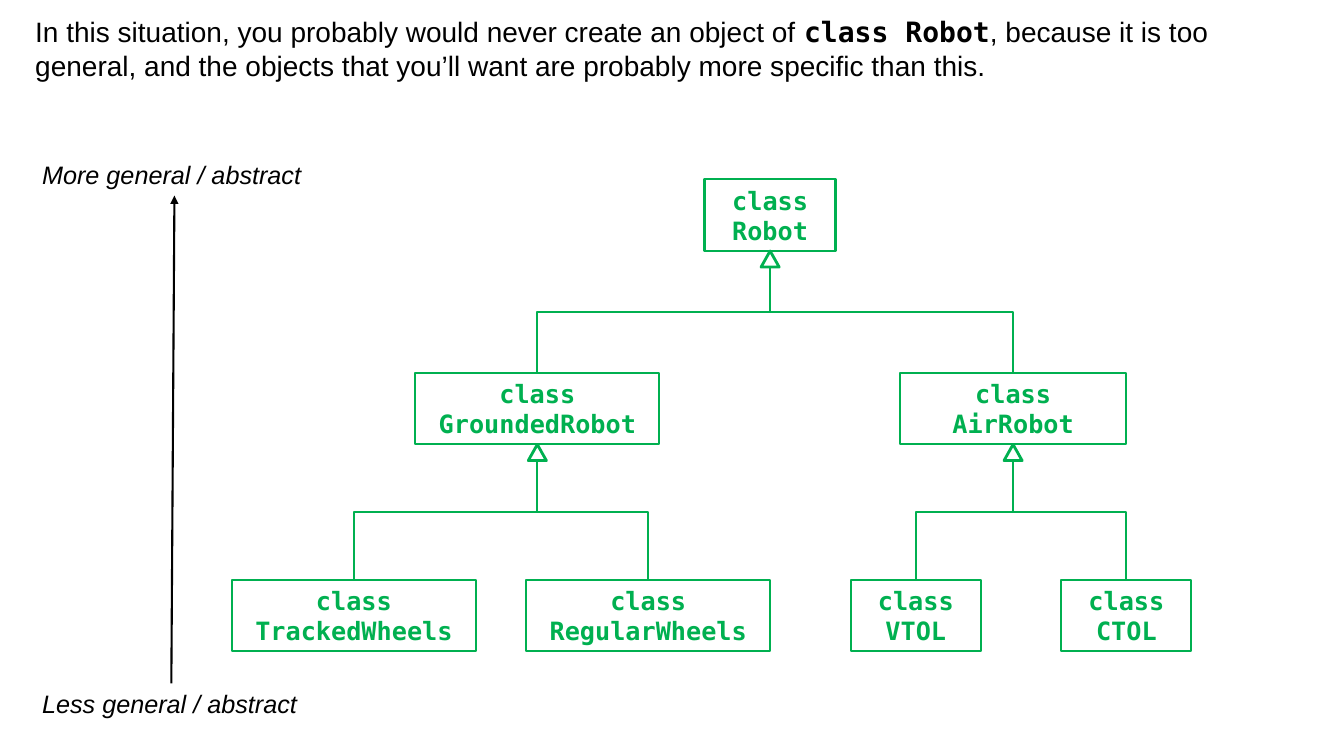
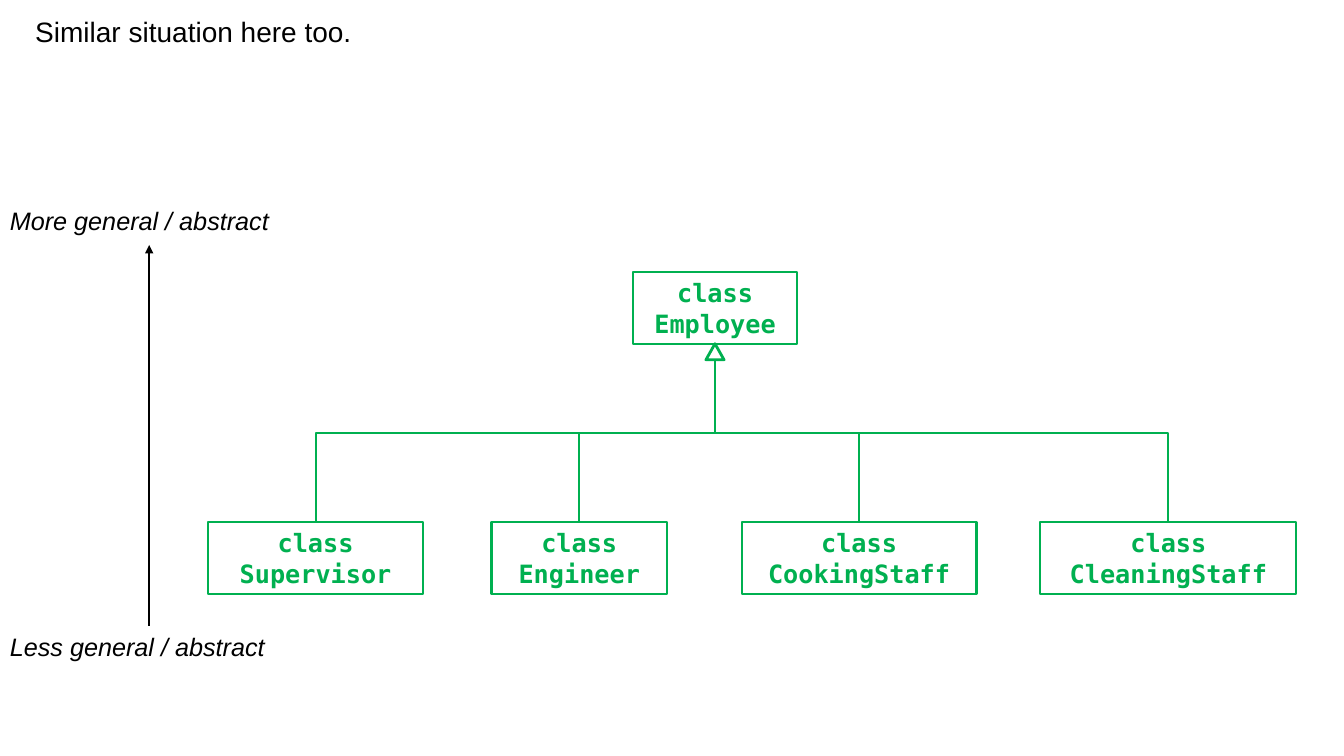
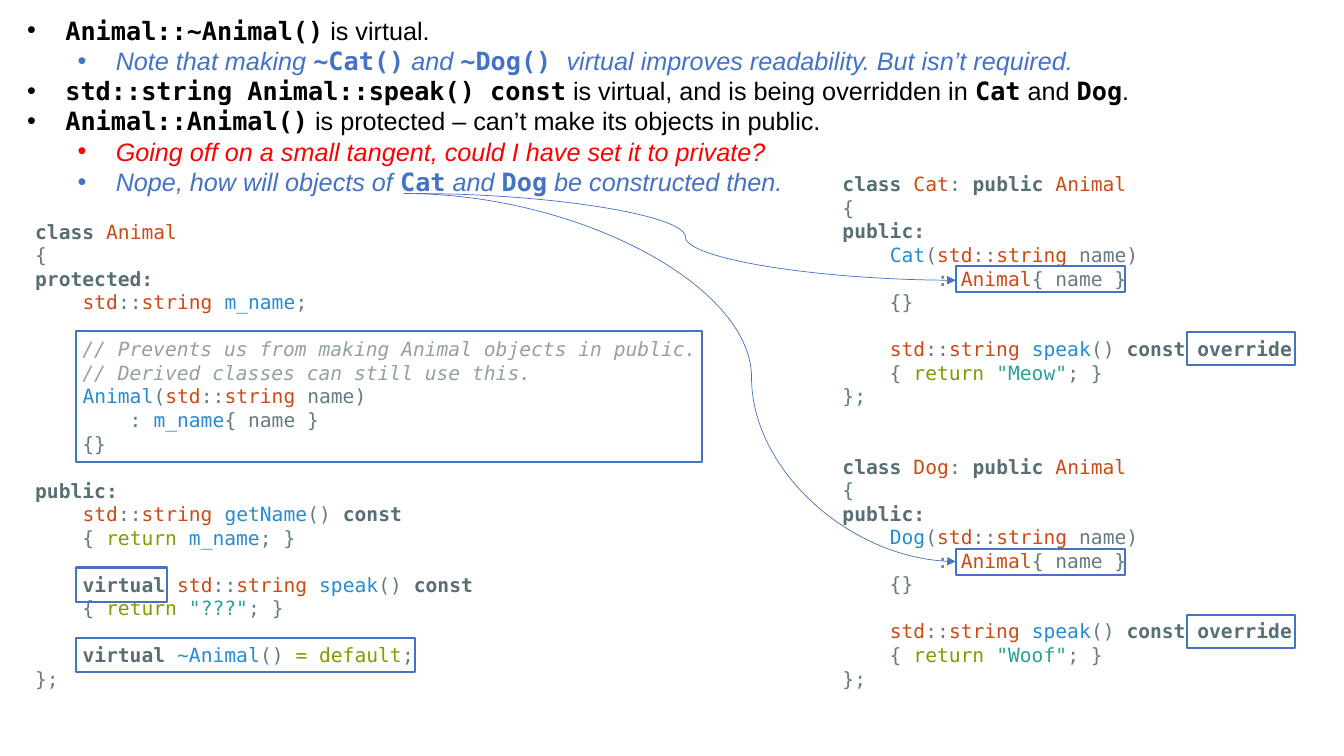
from lxml.etree import SubElement
from pptx import Presentation
from pptx.dml.color import RGBColor
from pptx.enum.shapes import MSO_CONNECTOR as Link, MSO_SHAPE as Preset
from pptx.enum.text import PP_ALIGN as Align
from pptx.oxml.ns import qn
from pptx.util import Inches, Pt

WIDTH, HEIGHT = Inches(13.333), Inches(7.5)
BLACK = RGBColor(0x00, 0x00, 0x00)
WHITE = RGBColor(0xFF, 0xFF, 0xFF)
RED = RGBColor(0xFF, 0x00, 0x00)
BLUE = RGBColor(0x44, 0x72, 0xC4)
GREEN = RGBColor(0x00, 0xB0, 0x50)
KEYWORD = RGBColor(0x58, 0x6E, 0x75)
PLAIN = RGBColor(0x65, 0x7B, 0x83)
TYPE = RGBColor(0xCB, 0x4B, 0x16)
NAME = RGBColor(0x26, 0x8B, 0xD2)
FLOW = RGBColor(0x85, 0x99, 0x00)
STRING = RGBColor(0x2A, 0xA1, 0x98)
REMARK = RGBColor(0x93, 0xA1, 0xA1)

SANS, MONO = "Arial", "DejaVu Sans Mono"
STYLES = {
    "a": (BLACK, {"name": SANS}),
    "i": (BLACK, {"name": SANS, "italic": True}),
    "m": (BLACK, {"name": MONO, "bold": True}),
    "b": (BLUE, {"name": SANS, "italic": True}),
    "B": (BLUE, {"name": MONO, "bold": True}),
    "r": (RED, {"name": SANS, "italic": True}),
    "g": (GREEN, {"name": MONO, "bold": True}),
    "k": (KEYWORD, {"name": MONO, "bold": True}),
    "p": (PLAIN, {"name": MONO}),
    "t": (TYPE, {"name": MONO}),
    "n": (NAME, {"name": MONO}),
    "f": (FLOW, {"name": MONO}),
    "s": (STRING, {"name": MONO}),
    "c": (REMARK, {"name": MONO, "italic": True}),
}
CODE_SIZE, CODE_LINE = 14, 16.8
BOX_HEIGHT, LABEL_HEIGHT = 9.47, 5.33
HEAD_WIDTH, HEAD_HEIGHT = 1.35, 2.13

ROBOTS = {
    "Robot": (57.3, 23.73, 9.75, None),
    "GroundedRobot": (39.98, 49.33, 18.15, "Robot"),
    "AirRobot": (75.38, 49.33, 16.8, "Robot"),
    "TrackedWheels": (26.33, 76.67, 18.15, "GroundedRobot"),
    "RegularWheels": (48.23, 76.67, 18.15, "GroundedRobot"),
    "VTOL": (68.14, 76.67, 9.68, "AirRobot"),
    "CTOL": (83.81, 76.67, 9.68, "AirRobot"),
}
STAFF = {
    "Employee": (53.2, 36, 12.15, None),
    "Supervisor": (23.48, 69.07, 16.05, "Employee"),
    "Engineer": (43.1, 69.07, 13.05, "Employee"),
    "CookingStaff": (63.92, 69.07, 17.48, "Employee"),
    "CleaningStaff": (86.93, 69.07, 19.05, "Employee"),
}
NOTES = [
    (0, "`mAnimal::~Animal()`a is virtual."),
    (1, "`bNote that making `B~Cat()`b and `B~Dog() `bvirtual improves readability. But isn’t required."),
    (0, "`mstd::string Animal::speak() const`a is virtual, and is being overridden in `mCat`a and `mDog`a."),
    (0, "`mAnimal::Animal()`a is protected – can’t make its objects in public."),
    (1, "`rGoing off on a small tangent, could I have set it to private?"),
    (1, "`bNope, how will objects of `BCat`b and `BDog`b be constructed then."),
]
BASE_CODE = """`kclass `tAnimal
`p{
`kprotected:
`p    `tstd`p::`tstring `nm_name`p;

`c    // Prevents us from making Animal objects in public.
`c    // Derived classes can still use this.
`p    `nAnimal`p(`tstd`p::`tstring`p name)
`p        : `nm_name`p{ name }
`p    {}

`kpublic:
`p    `tstd`p::`tstring `ngetName`p() `kconst
`p    { `freturn `nm_name`p; }

`p    `kvirtual `tstd`p::`tstring `nspeak`p() `kconst
`p    { `freturn `s"???"`p; }

`p    `kvirtual `n~Animal`p() `f= default`p;
`p};"""
DERIVED_CODE = """`kclass `tDERIVED`p: `kpublic `tAnimal
`p{
`kpublic:
`p    `nDERIVED`p(`tstd`p::`tstring`p name)
`p        : `tAnimal`p{ name }
`p    {}

`p    `tstd`p::`tstring `nspeak`p() `kconst override
`p    { `freturn `s"SOUND"`p; }
`p};"""


def across(share):
    return round(WIDTH * share / 100)


def down(share):
    return round(HEIGHT * share / 100)


def place(left, top, width, height):
    return across(left), down(top), across(width), down(height)


def write(frame, lines, size, align=Align.LEFT):
    frame.word_wrap = True
    gap, para = 0, None
    for line in lines:
        if not line:
            gap += CODE_LINE
            continue
        para = frame.add_paragraph() if para is not None else frame.paragraphs[0]
        para.alignment = align
        if gap:
            para.space_before = Pt(gap)
            gap = 0
        for piece in line.split("`")[1:]:
            color, values = STYLES[piece[0]]
            span = para.add_run()
            span.text = piece[1:]
            span.font.size = Pt(size)
            span.font.color.rgb = color
            for name, value in values.items():
                setattr(span.font, name, value)


def add_text(page, area, lines, size):
    box = page.shapes.add_textbox(*place(*area))
    write(box.text_frame, lines, size)
    return box


def add_outline(page, preset, area, color, weight=1.5, fill=None):
    box = page.shapes.add_shape(preset, *place(*area))
    box.shadow.inherit = False
    box.line.color.rgb = color
    box.line.width = Pt(weight)
    if fill is None:
        box.fill.background()
    else:
        box.fill.solid()
        box.fill.fore_color.rgb = fill
    return box


def add_arrow(page, kind, start, end, color, weight, head="triangle"):
    arrow = page.shapes.add_connector(kind, *start, *end)
    arrow.line.color.rgb = color
    arrow.line.width = Pt(weight)
    properties = arrow.element.spPr
    SubElement(properties.find(qn("a:ln")), qn("a:tailEnd"), type=head)
    SubElement(properties, qn("a:effectLst"))
    return arrow


def add_inheritance(page, child, parent):
    (child_x, child_y), (parent_x, parent_y) = child, parent
    middle_x, middle_y = (child_x + parent_x) // 2, (child_y + parent_y) // 2
    side = 1 if child_x < parent_x else -1
    reach = side * (child_y - parent_y) // 2
    rise = abs(parent_x - child_x) // 2
    start = middle_x + reach, middle_y + rise
    end = middle_x - reach, middle_y - rise
    elbow = add_arrow(page, Link.ELBOW, start, end, GREEN, 1.5, "arrow")
    elbow.element.spPr.xfrm.rot = 90 if side > 0 else 270


def add_tree(page, classes):
    for name, (center, top, width, parent) in classes.items():
        area = center - width / 2, top, width, BOX_HEIGHT
        box = add_outline(page, Preset.RECTANGLE, area, GREEN)
        write(box.text_frame, ["`gclass " + name], 18, Align.CENTER)
        if parent:
            parent_center, parent_top = classes[parent][:2]
            add_inheritance(page, (across(center), down(top)),
                            (across(parent_center), down(parent_top + BOX_HEIGHT)))
    for parent in dict.fromkeys(entry[3] for entry in classes.values() if entry[3]):
        center, top = classes[parent][:2]
        area = center - HEAD_WIDTH / 2, top + BOX_HEIGHT, HEAD_WIDTH, HEAD_HEIGHT
        add_outline(page, Preset.ISOSCELES_TRIANGLE, area, GREEN, 2, WHITE)


def add_scale(page, left, top, foot, tip):
    for word, row in (("More", top), ("Less", foot[1])):
        add_text(page, (left, row, 25.6, LABEL_HEIGHT), [f"`i{word} general / abstract"], 18)
    start, end = ((across(x), down(y)) for x, y in (foot, tip))
    add_arrow(page, Link.STRAIGHT, start, end, BLACK, 1.5)


def add_heading(page, line):
    add_text(page, (1.88, 1.33, 96.23, 10.27), [line], 20)


def add_notes(page):
    box = add_text(page, (1.28, 1.33, 97.43, 25.6), [line for _, line in NOTES], 18)
    for para, (level, _) in zip(box.text_frame.paragraphs, NOTES):
        para.level = level
        settings = para._p.get_or_add_pPr()
        settings.set("marL", str(across(2.85 + 3.75 * level)))
        settings.set("indent", str(-across(2.85)))
        SubElement(settings, qn("a:buFont"), typeface=SANS)
        SubElement(settings, qn("a:buChar"), char="•")


def add_curve(page, start, end, bend):
    start, end = ((across(x), down(y)) for x, y in (start, end))
    curve = add_arrow(page, Link.CURVE, start, end, BLUE, 0.5)
    shape = curve.element.spPr.find(qn("a:prstGeom"))
    guides = shape.find(qn("a:avLst"))
    if guides is None:
        guides = SubElement(shape, qn("a:avLst"))
    SubElement(guides, qn("a:gd"), name="adj1", fmla=f"val {bend * 1000}")


def add_code(page):
    derived = [DERIVED_CODE.replace("DERIVED", name).replace("SOUND", sound)
               for name, sound in (("Cat", "Meow"), ("Dog", "Woof"))]
    add_text(page, (1.88, 28.4, 51.15, 64.13), BASE_CODE.splitlines(), CODE_SIZE)
    add_text(page, (61.95, 22.13, 36.15, 70.4), "\n\n\n".join(derived).splitlines(), CODE_SIZE)
    marks = [(5.63, 84.4, 25.28, 4.53), (5.63, 75.07, 6.83, 4.53), (5.63, 43.73, 46.58, 17.33)]
    for shift in (0, 37.45):
        marks += [(88.35, 43.87 + shift, 8.03, 4.4), (71.1, 35.2 + shift, 12.6, 3.47)]
    for area in marks:
        add_outline(page, Preset.RECTANGLE, area, BLUE)
    add_curve(page, (30.9, 25.6), (71.1, 37.07), 50)
    add_curve(page, (30.08, 25.6), (71.1, 74.27), 63)


def main():
    deck = Presentation()
    deck.slide_width, deck.slide_height = WIDTH, HEIGHT
    robots, staff, animals = (deck.slides.add_slide(deck.slide_layouts[6]) for _ in range(3))

    add_heading(robots, "`aIn this situation, you probably would never create an object of `mclass Robot"
                "`a, because it is too general, and the objects that you’ll want are probably"
                " more specific than this.")
    add_tree(robots, ROBOTS)
    add_scale(robots, 2.4, 20.4, (12.75, 90.4), (12.98, 25.87))

    add_heading(staff, "`aSimilar situation here too.")
    add_tree(staff, STAFF)
    add_scale(staff, 0, 26.53, (11.1, 82.8), (11.1, 32.4))

    add_notes(animals)
    add_code(animals)
    deck.save("out.pptx")


if __name__ == "__main__":
    main()
